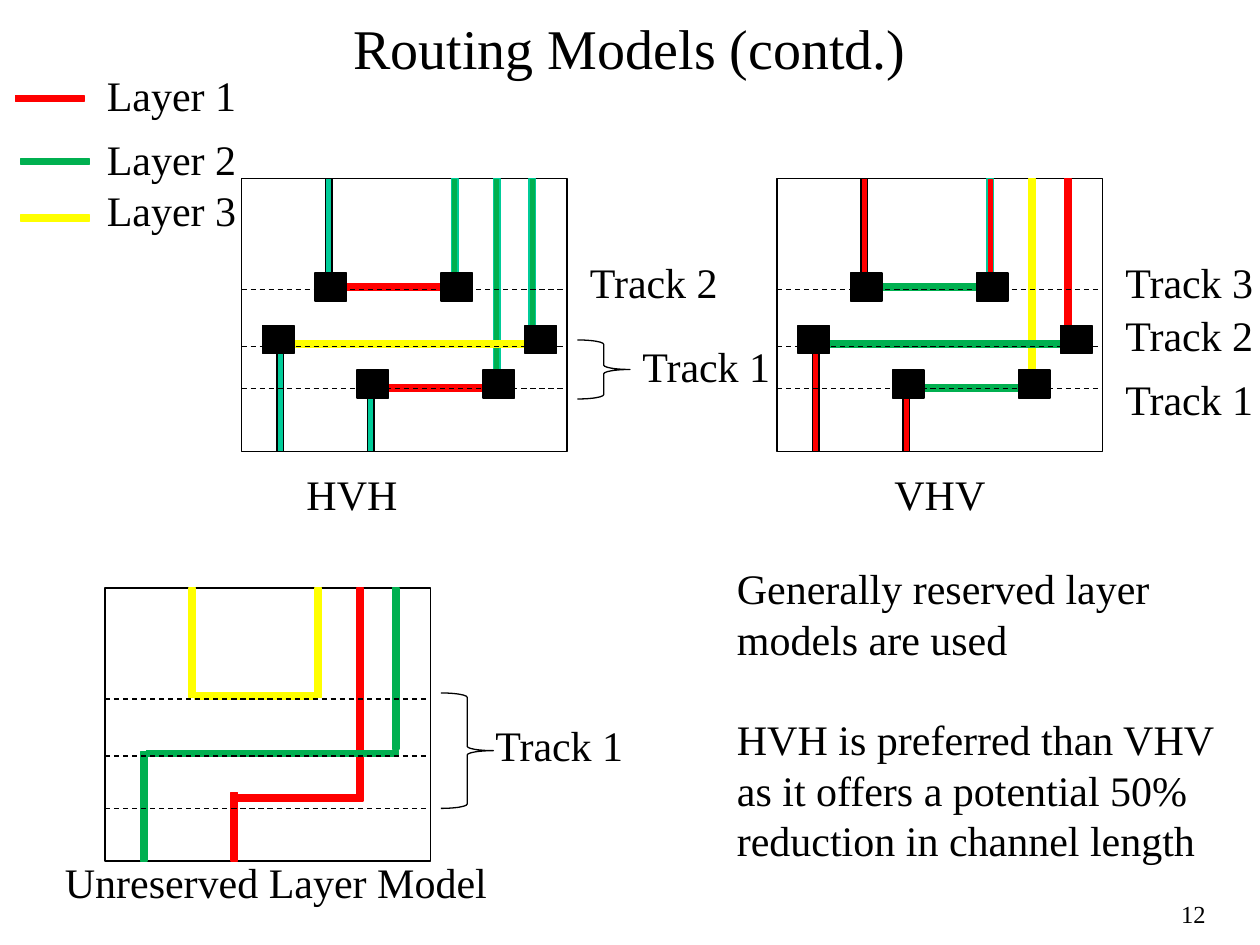
from dataclasses import dataclass
from typing import Optional

from pptx import Presentation
from pptx.dml.color import RGBColor
from pptx.enum.dml import MSO_LINE
from pptx.enum.shapes import MSO_CONNECTOR, MSO_SHAPE
from pptx.enum.text import MSO_ANCHOR, PP_ALIGN
from pptx.oxml.ns import qn
from pptx.util import Pt

RECT, BRACE = MSO_SHAPE.RECTANGLE, MSO_SHAPE.RIGHT_BRACE
STRAIGHT, DASH = MSO_CONNECTOR.STRAIGHT, MSO_LINE.DASH
LEFT, RIGHT, CENTER = PP_ALIGN.LEFT, PP_ALIGN.RIGHT, PP_ALIGN.CENTER
MIDDLE = MSO_ANCHOR.MIDDLE

BLACK = RGBColor(0x00, 0x00, 0x00)
RED = RGBColor(0xFF, 0x00, 0x00)
GREEN = RGBColor(0x00, 0xB0, 0x50)
YELLOW = RGBColor(0xFF, 0xFF, 0x00)
TEAL = RGBColor(0x00, 0xCC, 0x99)

FONT = "Times New Roman"
HAIR = 0.75
WIRE = 3.75
WIDE, HIGH = 186, 156  # size of a channel

# Wire places inside a channel: left, top, length
PINS = [(48, 0, 62.5), (120, 0, 62.5), (144, 0, 121),
        (20.25, 93.75, 62.25), (72, 117, 39), (164.25, 0, 92)]
TRUNKS = [(51.5, 60, 68.5), (23.75, 92.75, 144), (75.5, 118, 80.5)]
VIAS = [(42, 54), (114, 54), (12, 84), (138, 109.5), (66, 109.5), (162, 84)]


@dataclass
class Paint:
    fill: RGBColor
    edge: Optional[RGBColor] = None


@dataclass
class Channel:
    left: float
    top: float
    pins: list[Paint]
    trunks: list[Paint]
    tracks: list[float]
    vias: bool = True
    last: float = 80.5  # length of the lowest trunk


@dataclass
class Label:
    left: float
    top: float
    width: float
    lines: list[str]
    size: float = 24
    align: PP_ALIGN = LEFT
    height: float = 36


def add_shape(slide, kind, left: float, top: float, width: float,
              height: float, paint: Optional[Paint] = None) -> None:
    shape = slide.shapes.add_shape(kind, Pt(left), Pt(top), Pt(width), Pt(height))
    shape.shadow.inherit = False
    shape.line.width = Pt(HAIR)
    if paint:
        shape.fill.solid()
        shape.fill.fore_color.rgb = paint.fill
        shape.line.color.rgb = paint.edge or paint.fill
    else:
        shape.fill.background()
        shape.line.color.rgb = BLACK


def add_track(slide, left: float, y: float) -> None:
    line = slide.shapes.add_connector(STRAIGHT, Pt(left), Pt(y), Pt(left + WIDE), Pt(y))
    line.line.color.rgb = BLACK
    line.line.width = Pt(HAIR)
    line.line.dash_style = DASH
    props = line._element.spPr
    props.append(props.makeelement(qn("a:effectLst"), {}))


def add_run(para, text: str, size: float) -> None:
    run = para.add_run()
    run.text = text
    run.font.name = FONT
    run.font.size = Pt(size)
    run.font.color.rgb = BLACK


def add_label(slide, label: Label) -> None:
    box = slide.shapes.add_textbox(Pt(label.left), Pt(label.top),
                                   Pt(label.width), Pt(label.height))
    frame = box.text_frame
    frame.word_wrap = True
    for i, text in enumerate(label.lines):
        para = frame.add_paragraph() if i else frame.paragraphs[0]
        para.alignment = label.align
        if i:
            para.space_before = Pt(28.8)
        add_run(para, text, label.size)


def add_channel(slide, chan: Channel) -> None:
    add_shape(slide, RECT, chan.left, chan.top, WIDE, HIGH)
    for (x, y, size), paint in zip(PINS, chan.pins):
        add_shape(slide, RECT, chan.left + x, chan.top + y, WIRE, size, paint)
    sizes = [TRUNKS[0][2], TRUNKS[1][2], chan.last]
    for (x, y, _), size, paint in zip(TRUNKS, sizes, chan.trunks):
        add_shape(slide, RECT, chan.left + x, chan.top + y, size, WIRE, paint)
    if chan.vias:
        for x, y in VIAS:
            add_shape(slide, RECT, chan.left + x, chan.top + y, 18, 16, Paint(BLACK))
    for y in chan.tracks:
        add_track(slide, chan.left, chan.top + y)


red, green, yellow = Paint(RED), Paint(GREEN), Paint(YELLOW)
teal, dark = Paint(TEAL, BLACK), Paint(RED, BLACK)
mint = Paint(GREEN, TEAL)

CHANNELS = [
    # HVH
    Channel(138, 102, [teal, mint, mint, teal, teal, mint],
            [red, yellow, red], [63.5, 96, 120]),
    # VHV
    Channel(444, 102, [dark, Paint(RED, TEAL), yellow, dark, dark, red],
            [green, green, green], [63.5, 96, 120]),
    # Unreserved
    Channel(60, 336, [yellow, yellow, red, green, red, green],
            [yellow, green, red], [63.5, 96, 126], False, 72),
]

BRACES = [(330, 194.25, 30, 33.75), (252, 396, 30, 66)]
LEGEND = [("Layer 1", 9, 54.5, 36, red), ("Layer 2", 12, 90.5, 72.5, green),
          ("Layer 3", 12, 122.75, 102, yellow)]

LABELS = [
    Label(360, 191.25, 108, ["Track 1"]),
    Label(330, 143.25, 108, ["Track 2"]),
    Label(636, 210, 108, ["Track 1"]),
    Label(636, 173.5, 108, ["Track 2"]),
    Label(636, 143.25, 108, ["Track 3"]),
    Label(276, 407.5, 108, ["Track 1"]),
    Label(168, 264, 84, ["HVH"]),
    Label(504, 264, 84, ["VHV"]),
    Label(30, 486, 282, ["Unreserved Layer Model"]),
    Label(414, 318, 306, [
        "Generally reserved layer models are used",
        "HVH is preferred than VHV as it offers a potential 50% "
        "reduction in channel length"], height=180),
    Label(546, 510, 150, ["12"], 14, RIGHT),
]


def main() -> None:
    deck = Presentation()
    deck.slide_width, deck.slide_height = Pt(720), Pt(540)
    slide = deck.slides.add_slide(deck.slide_layouts[5])

    # Title
    title = slide.shapes.title
    title.left, title.top, title.width, title.height = Pt(54), Pt(-18), Pt(612), Pt(90)
    title.text_frame.vertical_anchor = MIDDLE
    para = title.text_frame.paragraphs[0]
    para.alignment = CENTER
    add_run(para, "Routing Models (contd.)", 32)

    # Routing channels and braces
    for chan in CHANNELS:
        add_channel(slide, chan)
    for brace in BRACES:
        add_shape(slide, BRACE, *brace)

    # Legend
    for name, x, y, top, paint in LEGEND:
        add_shape(slide, RECT, x, y, 39, WIRE, paint)
        add_label(slide, Label(54, top, 108, [name]))

    # Labels and remarks
    for label in LABELS:
        add_label(slide, label)

    deck.save("out.pptx")


if __name__ == "__main__":
    main()
